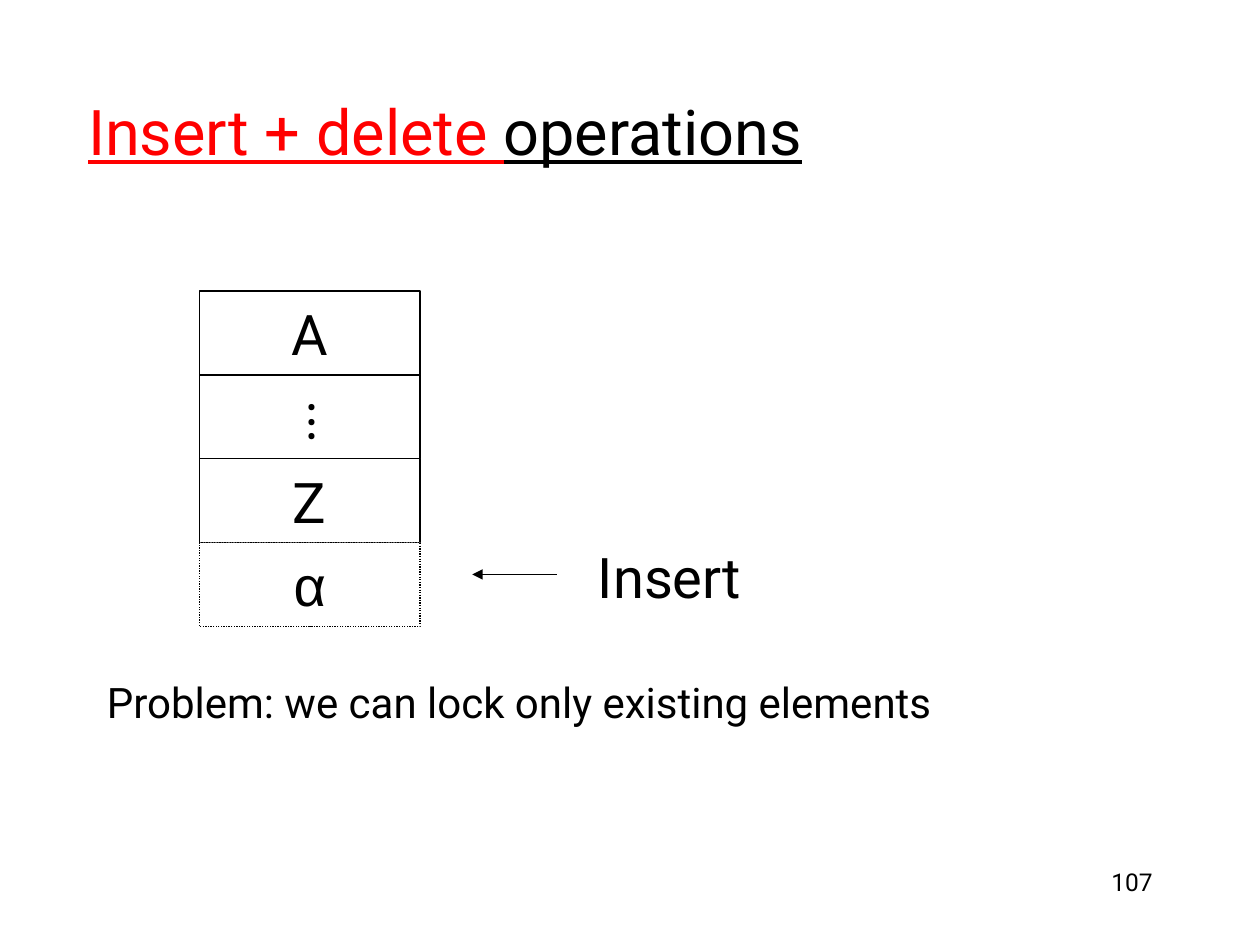
from lxml.etree import SubElement
from pptx import Presentation
from pptx.dml.color import RGBColor
from pptx.enum.dml import MSO_LINE_DASH_STYLE as Dash
from pptx.enum.shapes import MSO_CONNECTOR as Conn, MSO_SHAPE as Shape
from pptx.enum.text import MSO_ANCHOR as Anchor, MSO_AUTO_SIZE as Fit, PP_ALIGN as Align
from pptx.oxml.ns import qn
from pptx.util import Cm, Pt


def color(value):
    """Turn a hex string into a colour."""
    return RGBColor.from_string(value)


class Deck:
    """Hold the style and the current slide."""

    font, ink, paper, accent = "Roboto", "000000", "FFFFFF", "FF0000"

    def __init__(self, width, height):
        """Start a presentation with one slide."""
        self.prs = Presentation()
        self.prs.slide_width, self.prs.slide_height = Cm(width), Cm(height)
        self.s = self.prs.slides.add_slide(self.prs.slide_layouts[1])

    def place(self, sp, x, y, w, h):
        """Move and size a shape."""
        sp.left, sp.top, sp.width, sp.height = Cm(x), Cm(y), Cm(w), Cm(h)

    def style(self, font, size, ink=None, name=None):
        """Set typeface, size and colour."""
        font.name, font.size = name or self.font, Pt(size)
        font.color.rgb = color(ink or self.ink)

    def outline(self, line):
        """Draw a thin line in the ink colour."""
        line.color.rgb, line.width = color(self.ink), Pt(0.75)

    def title(self, parts, box):
        """Fill the title with underlined coloured runs."""
        sp = self.s.shapes.title
        self.place(sp, *box)
        tf = sp.text_frame
        tf.auto_size, tf.vertical_anchor = Fit.NONE, Anchor.MIDDLE
        p = tf.paragraphs[0]
        p.alignment = Align.LEFT
        for text, ink in parts:
            r = p.add_run()
            r.text = text
            self.style(r.font, 36, ink)
            r.font.underline = True

    def body(self, items, box):
        """Fill the body with unbulleted, indented paragraphs."""
        sp = self.s.placeholders[1]
        self.place(sp, *box)
        tf = sp.text_frame
        tf.text = "\n".join(text for text, *_ in items)
        tf.auto_size = Fit.NONE
        for p, (_, size, indent, before) in zip(tf.paragraphs, items):
            pPr = p._p.get_or_add_pPr()
            pPr.set("marL", str(Cm(indent)))
            pPr.set("indent", "0")
            SubElement(pPr, qn("a:buNone"))
            p.space_before = Pt(before)
            self.style(p.runs[0].font, size)

    def text(self, text, box, size, align, anchor=Anchor.TOP, rotation=0):
        """Add a text box."""
        sp = self.s.shapes.add_textbox(*map(Cm, box))
        sp.rotation = rotation
        tf = sp.text_frame
        tf.text, tf.word_wrap, tf.vertical_anchor = text, True, anchor
        p = tf.paragraphs[0]
        p.alignment = align
        self.style(p.runs[0].font, size)

    def cell(self, text, box, dash=None, name=None):
        """Add an outlined box with an optional centred label."""
        sp = self.s.shapes.add_shape(Shape.RECTANGLE, *map(Cm, box))
        sp.shadow.inherit = False
        sp.fill.solid()
        sp.fill.fore_color.rgb = color(self.paper)
        self.outline(sp.line)
        if dash:
            sp.line.dash_style = dash
        if text:
            tf = sp.text_frame
            tf.text, tf.word_wrap, tf.vertical_anchor = text, False, Anchor.MIDDLE
            p = tf.paragraphs[0]
            p.alignment = Align.CENTER
            self.style(p.runs[0].font, 32, name=name)

    def arrow(self, x1, y1, x2, y2):
        """Add a line with an arrowhead at its end."""
        cx = self.s.shapes.add_connector(Conn.STRAIGHT, *map(Cm, (x1, y1, x2, y2)))
        self.outline(cx.line)
        SubElement(cx.line._get_or_add_ln(), qn("a:tailEnd"), type="triangle")
        SubElement(cx._element.spPr, qn("a:effectLst"))


def main():
    """Build and save the slide."""
    deck = Deck(25.4, 19.05)
    deck.title([("Insert + delete ", deck.accent), ("operations", deck.ink)],
               (1.52, 1.04, 21.6, 3.18))
    deck.body([("Insert", 32, 9.9, 0),
               ("Problem: we can lock only existing elements", 24, 0, 38.5)],
              (1.9, 10.8, 21.6, 5))
    left, top, width, height = 4.02, 5.87, 4.45, 1.69
    cells = [("A", None, None), ("", None, None), ("Z", None, None),
             ("α", Dash.ROUND_DOT, "Arial")]
    for i, (label, dash, name) in enumerate(cells):
        deck.cell(label, (left, top + i * height, width, height), dash, name)
    deck.text("...", (5.9, 7.72, 1.55, 1.6), 32, Align.CENTER, Anchor.MIDDLE, 90)
    deck.arrow(11.22, 11.58, 9.52, 11.58)
    deck.text("107", (18.21, 17.35, 5.28, 1.27), 14, Align.RIGHT)
    deck.prs.save("out.pptx")


if __name__ == "__main__":
    main()
